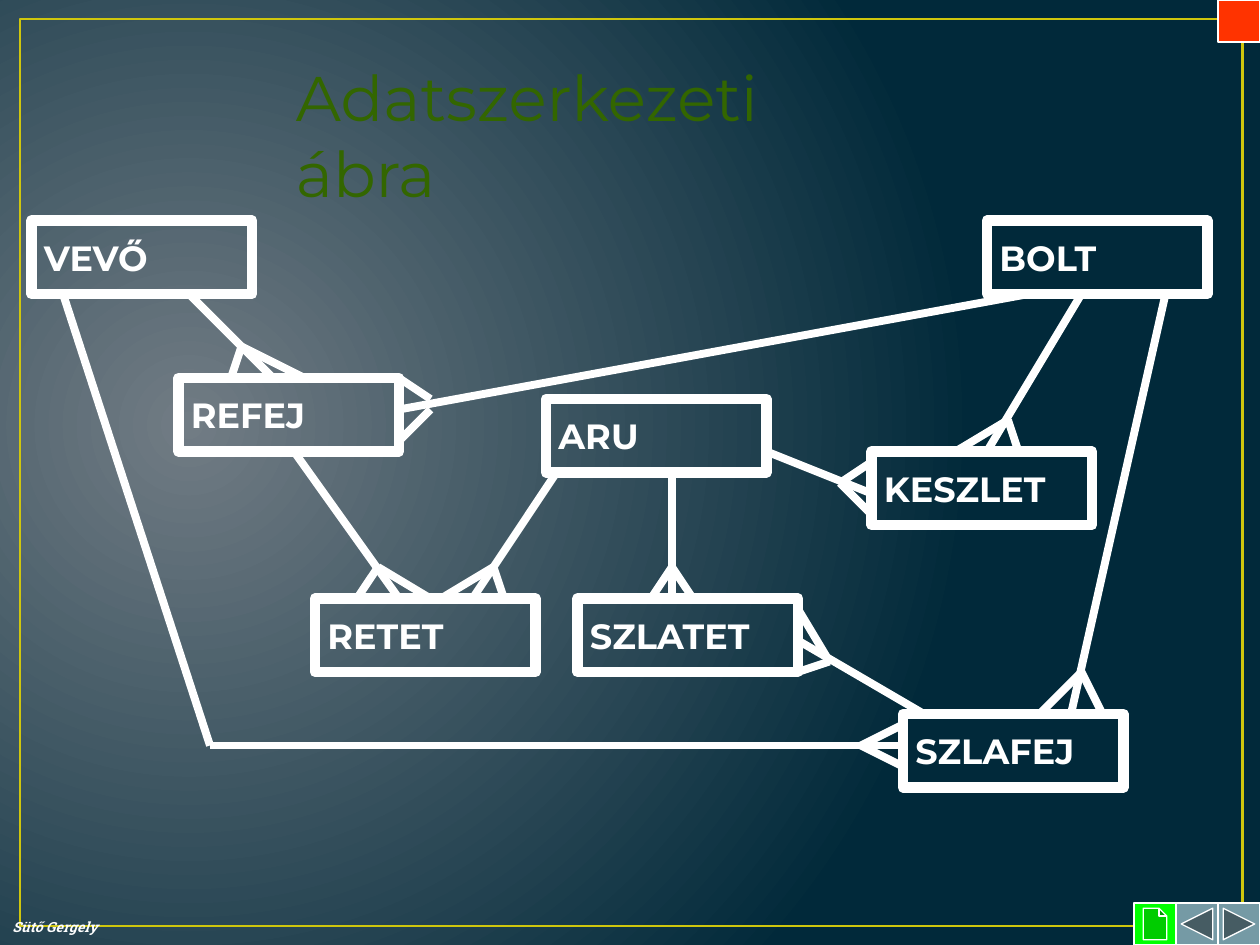
import pptx
import pptx.util
import pptx.dml.color
import pptx.enum.shapes
import pptx.enum.text
import pptx.oxml
import pptx.oxml.ns

Pt = pptx.util.Pt
RGB = pptx.dml.color.RGBColor
SHAPE = pptx.enum.shapes.MSO_SHAPE
ANCHOR = pptx.enum.text.MSO_ANCHOR
SIZE = pptx.enum.text.MSO_AUTO_SIZE
qn = pptx.oxml.ns.qn
NS = pptx.oxml.ns.nsdecls("a")

WHITE = RGB(0xFF, 0xFF, 0xFF)
GREY = RGB(0x71, 0x7C, 0x84)
NAVY = RGB(0x01, 0x29, 0x3A)
GOLD = RGB(0xCF, 0xC6, 0x0D)
STEEL = RGB(0x75, 0x9A, 0xA5)
RED = RGB(0xFF, 0x33, 0x00)
LIME = RGB(0x00, 0xFF, 0x00)
GREEN = RGB(0x33, 0x66, 0x00)

WIDE, HIGH = 720, 540
BUTTON = 24
BOX_W, BOX_H = 126, 42

ENTITIES = {
    "VEVŐ": (18, 126), "BOLT": (564, 126), "ARU": (312, 228),
    "RETET": (180, 342), "KESZLET": (498, 258), "SZLAFEJ": (516, 408),
    "REFEJ": (102, 216), "SZLATET": (330, 342),
}

# Start and end of each link
LINKS = [
    (108, 168, 156, 216), (168, 258, 228, 342), (438, 258, 498, 282),
    (618, 168, 564, 258), (384, 270, 384, 342), (318, 270, 270, 342),
    (588, 168, 228, 234), (666, 168, 612, 408), (36, 168, 120, 426),
    (516, 426, 120, 426), (456, 366, 528, 408),
]

# Tip of each crow's foot, then the ends of its two toes
FEET = [
    ((474, 378), (456, 384), (456, 348)),
    ((618, 384), (594, 408), (630, 408)),
    ((576, 240), (546, 258), (582, 258)),
    ((480, 276), (498, 264), (498, 294)),
    ((384, 324), (372, 342), (396, 342)),
    ((282, 324), (252, 342), (288, 342)),
    ((216, 324), (204, 342), (246, 342)),
    ((138, 198), (132, 216), (174, 216)),
    ((492, 426), (516, 414), (516, 438)),
]
# The foot at REFEJ has two separate tips
SPLIT = [(228, 216, 246, 228), (246, 234, 228, 252)]


def paint(slide):
    """Fill the background with a round gradient."""
    fill = slide.background.fill
    fill.gradient()
    for stop, color in zip(fill.gradient_stops, (GREY, NAVY)):
        stop.color.rgb = color
    grad = slide.element.find(".//" + qn("a:gradFill"))
    grad.remove(grad.find(qn("a:lin")))
    grad.append(pptx.oxml.parse_xml(
        f'<a:path {NS} path="circle">'
        '<a:fillToRect l="15000" t="50000" r="85000" b="60000"/></a:path>'))


def add_shape(slide, kind, box, fill, line, width):
    shape = slide.shapes.add_shape(kind, *map(Pt, box))
    shape.shadow.inherit = False
    if fill is None:
        shape.fill.background()
    else:
        shape.fill.solid()
        shape.fill.fore_color.rgb = fill
    shape.line.color.rgb = line
    shape.line.width = Pt(width)
    return shape


def write(shape, text, face, size, color, bold=False, wrap=False):
    frame = shape.text_frame
    frame.word_wrap = wrap
    para = frame.paragraphs[0]
    para.text = text
    para.alignment = pptx.enum.text.PP_ALIGN.LEFT
    font = para.font
    font.name, font.size, font.bold = face, Pt(size), bold
    font.color.rgb = color
    return frame


def add_title(slide, box):
    shape = slide.shapes.add_textbox(*map(Pt, box))
    frame = write(shape, "Adatszerkezeti ábra", "Montserrat", 36, GREEN)
    props = frame.paragraphs[0].runs[0].font
    props.color.rgb = GREEN
    rim = pptx.oxml.parse_xml(
        f'<a:ln {NS} w="{Pt(1)}"><a:solidFill>'
        f'<a:srgbClr val="{GREEN}"/></a:solidFill></a:ln>')
    frame.paragraphs[0].runs[0]._r.get_or_add_rPr().insert(0, rim)


def add_author(slide, box):
    shape = slide.shapes.add_textbox(*map(Pt, box))
    frame = write(shape, "Sütő Gergely", "Roboto Slab", 8, WHITE, True, True)
    frame.paragraphs[0].font.italic = True
    frame.vertical_anchor = ANCHOR.MIDDLE
    frame.auto_size = SIZE.SHAPE_TO_FIT_TEXT


def add_entity(slide, name, box):
    shape = add_shape(slide, SHAPE.RECTANGLE, box, None, WHITE, 6)
    frame = write(shape, name, "Montserrat", 20, WHITE, True)
    frame.vertical_anchor = ANCHOR.MIDDLE


def add_line(slide, ends):
    line = slide.shapes.add_connector(
        pptx.enum.shapes.MSO_CONNECTOR.STRAIGHT, *map(Pt, ends))
    line.line.color.rgb = WHITE
    line.line.width = Pt(4.5)
    line._element.spPr.append(pptx.oxml.parse_xml(f"<a:effectLst {NS}/>"))


def add_diagram(slide, left, top):
    for name, (x, y) in ENTITIES.items():
        add_entity(slide, name, (left + x, top + y, BOX_W, BOX_H))
    toes = [tip + toe for tip, *pair in FEET for toe in pair]
    for x1, y1, x2, y2 in LINKS + toes + SPLIT:
        add_line(slide, (left + x1, top + y1, left + x2, top + y2))


def add_buttons(slide, right, base):
    """Place the square buttons in the right-hand corners."""
    low = base - BUTTON
    for kind, slot, y, color in (
            (SHAPE.ACTION_BUTTON_FORWARD_OR_NEXT, 1, low, STEEL),
            (SHAPE.ACTION_BUTTON_BACK_OR_PREVIOUS, 2, low, STEEL),
            (SHAPE.ACTION_BUTTON_DOCUMENT, 3, low, LIME),
            (SHAPE.ACTION_BUTTON_CUSTOM, 1, 0, RED)):
        box = (right - slot * BUTTON, y, BUTTON, BUTTON)
        add_shape(slide, kind, box, color, WHITE, 0.75)


def main():
    deck = pptx.Presentation()
    deck.slide_width, deck.slide_height = Pt(WIDE), Pt(HIGH)
    slide = deck.slides.add_slide(deck.slide_layouts[6])
    paint(slide)
    add_shape(slide, SHAPE.RECTANGLE, (11.5, 10.8, 698.4, 518.4),
              None, GOLD, 1.5)
    add_buttons(slide, WIDE, HIGH)
    add_title(slide, (162, 30, 354, 54))
    add_author(slide, (0, 521.3, 78, 16.6))
    add_diagram(slide, 0, 0)
    deck.save("out.pptx")


if __name__ == "__main__":
    main()
